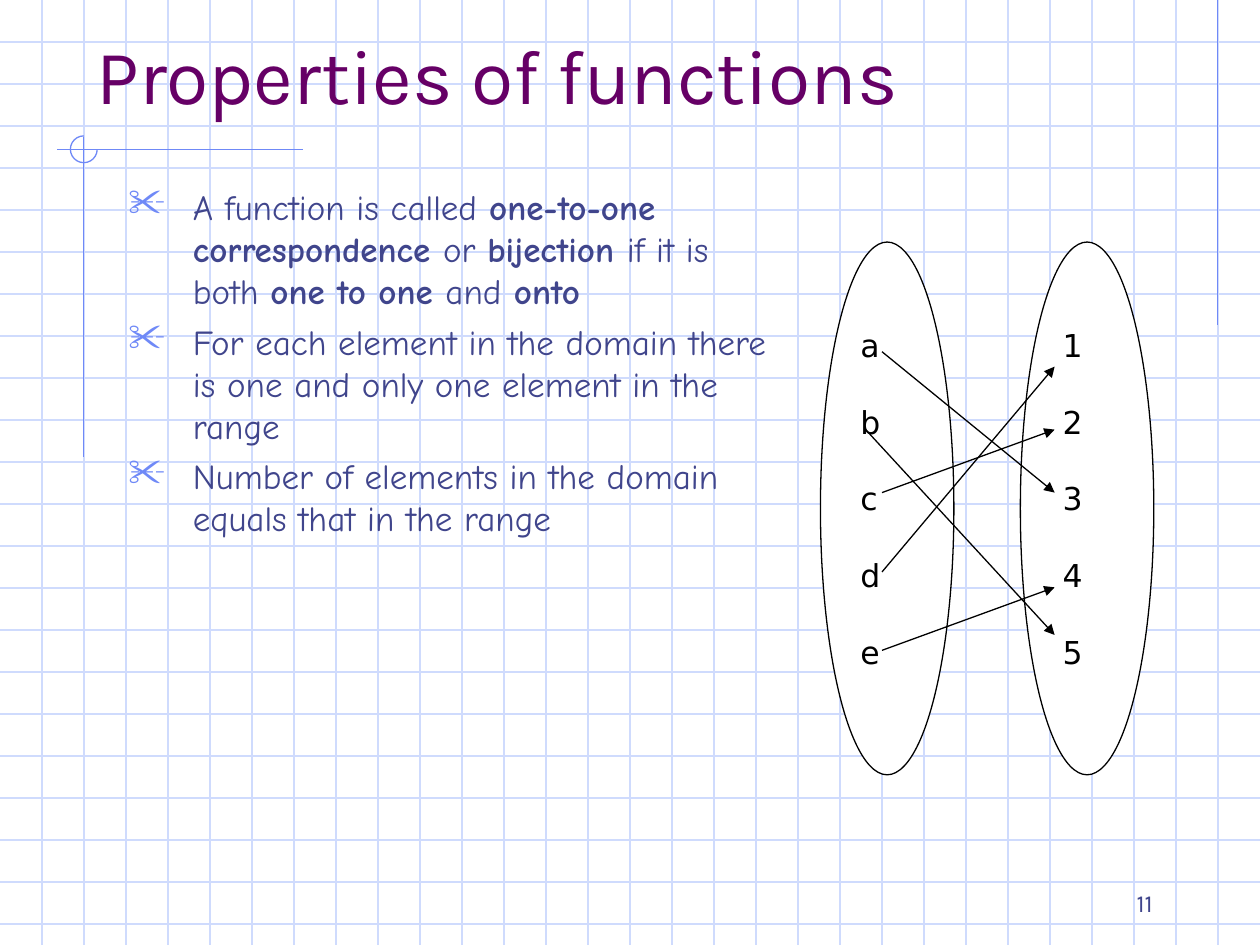
from dataclasses import dataclass
from typing import NamedTuple

from lxml import etree
from pptx import Presentation, util as u
from pptx.dml.color import RGBColor
from pptx.enum import shapes, text
from pptx.oxml import ns

WIDTH, HEIGHT = 25.4, 19.05
GRID_PITCH = WIDTH / 30


@dataclass(frozen=True)
class Theme:
    grid: str = "CFDBFD"
    accent: str = "6F89F7"
    title: str = "660066"
    body: str = "40458C"
    ink: str = "000000"
    paper: str = "FFFFFF"
    heading_font: str = "Karla"
    body_font: str = "Comic Neue"
    label_font: str = "DejaVu Sans"
    title_size: float = 44
    body_size: float = 20
    label_size: float = 18
    number_size: float = 14
    line_width: float = 0.75


THEME = Theme()


class Frame(NamedTuple):
    left: float
    top: float
    width: float
    height: float

    def lengths(self) -> list:
        return [u.Cm(value) for value in self]


class Line(NamedTuple):
    x1: float
    y1: float
    x2: float
    y2: float


class Words(NamedTuple):
    content: str
    bold: bool = False


@dataclass(frozen=True)
class ElementSet:
    frame: Frame
    labels: str
    inset: float


TITLE_FRAME = Frame(1.69, 0.85, 22.86, 1.69)
BODY_FRAME = Frame(2.34, 3.61, 13.69, 13.77)
NUMBER_FRAME = Frame(18.21, 17.98, 5.28, 0.64)
ARC_FRAME = Frame(1.42, 2.74, 0.54, 0.54)

ORNAMENTS = [
    Line(24.55, 0, 24.55, 6.55),
    Line(6.1, 3.02, 1.14, 3.02),
    Line(1.69, 2.77, 1.69, 9.22),
]

BULLETS = [
    [
        Words("A function is called "),
        Words("one-to-one correspondence ", True),
        Words("or "),
        Words("bijection ", True),
        Words("if it is both "),
        Words("one to one ", True),
        Words("and"),
        Words(" onto", True),
    ],
    [Words("For each element in the domain there is one and only one element in the range")],
    [Words("Number of elements in the domain equals that in the range")],
]

DOMAIN = ElementSet(Frame(16.54, 4.88, 2.69, 10.74), "abcde", 0.41)
RANGE = ElementSet(Frame(20.57, 4.88, 2.69, 10.74), "12345", 0.46)
LABEL_GAP = 22.2

MAPPINGS = [
    Line(17.78, 7.09, 21.26, 9.93),
    Line(17.78, 9.93, 21.26, 8.66),
    Line(17.78, 11.53, 21.26, 7.39),
    Line(17.45, 8.66, 21.26, 12.8),
    Line(17.78, 13.11, 21.26, 11.84),
]


def add_span(para, content: str, font: str, size: float, color: str, bold: bool = False) -> None:
    span = para.add_run()
    span.text = content
    span.font.name = font
    span.font.size = u.Pt(size)
    span.font.bold = bold
    span.font.color.rgb = RGBColor.from_string(color)


def paragraph_at(frame, index: int):
    return frame.add_paragraph() if index else frame.paragraphs[0]


def style_line(line, color: str) -> None:
    line.color.rgb = RGBColor.from_string(color)
    line.width = u.Pt(THEME.line_width)


def draw_line(slide, line: Line, color: str, arrow: bool = False) -> None:
    ends = [u.Cm(value) for value in line]
    connector = slide.shapes.add_connector(shapes.MSO_CONNECTOR.STRAIGHT, *ends)
    style_line(connector.line, color)
    properties = connector.element.spPr
    if arrow:
        outline = properties.find(ns.qn("a:ln"))
        etree.SubElement(outline, ns.qn("a:tailEnd"), type="triangle")
    etree.SubElement(properties, ns.qn("a:effectLst"))


def draw_grid(slide) -> None:
    for row in range(1, 23):
        draw_line(slide, Line(0, row * GRID_PITCH, WIDTH, row * GRID_PITCH), THEME.grid)
    for column in range(1, 30):
        draw_line(slide, Line(column * GRID_PITCH, 0, column * GRID_PITCH, HEIGHT), THEME.grid)


def draw_ornaments(slide) -> None:
    for line in ORNAMENTS:
        draw_line(slide, line, THEME.accent)
    arc = slide.shapes.add_shape(shapes.MSO_SHAPE.ARC, *ARC_FRAME.lengths())
    arc.shadow.inherit = False
    arc.adjustments[0], arc.adjustments[1] = 0, 162  # from 0 to 270 degrees
    arc.fill.background()
    style_line(arc.line, THEME.accent)


def place_title(slide) -> None:
    """Format the title and bring it in front of the grid."""
    title = slide.shapes.title
    title.left, title.top, title.width, title.height = TITLE_FRAME.lengths()
    frame = title.text_frame
    frame.auto_size = text.MSO_AUTO_SIZE.NONE
    frame.vertical_anchor = text.MSO_ANCHOR.BOTTOM
    para = frame.paragraphs[0]
    para.alignment = text.PP_ALIGN.LEFT
    add_span(para, "Properties of functions", THEME.heading_font, THEME.title_size, THEME.title)
    title.element.getparent().append(title.element)


def add_scissors_bullet(para) -> None:
    properties = para._p.get_or_add_pPr()
    properties.set("marL", str(u.Cm(1.3)))
    properties.set("indent", str(u.Cm(-1.3)))
    color = etree.SubElement(properties, ns.qn("a:buClr"))
    etree.SubElement(color, ns.qn("a:srgbClr"), val=THEME.accent)
    etree.SubElement(properties, ns.qn("a:buSzPct"), val="110000")
    etree.SubElement(properties, ns.qn("a:buChar"), char="✂")


def draw_body(slide) -> None:
    box = slide.shapes.add_textbox(*BODY_FRAME.lengths())
    box.text_frame.word_wrap = True
    for index, bullet in enumerate(BULLETS):
        para = paragraph_at(box.text_frame, index)
        add_scissors_bullet(para)
        para.space_before = u.Pt(5 if index else 0)
        for words in bullet:
            add_span(para, words.content, THEME.body_font, THEME.body_size, THEME.body, words.bold)


def draw_number(slide) -> None:
    box = slide.shapes.add_textbox(*NUMBER_FRAME.lengths())
    box.text_frame.word_wrap = True
    box.text_frame.vertical_anchor = text.MSO_ANCHOR.BOTTOM
    para = box.text_frame.paragraphs[0]
    para.alignment = text.PP_ALIGN.RIGHT
    add_span(para, "11", THEME.heading_font, THEME.number_size, THEME.body)


def draw_set(slide, members: ElementSet) -> None:
    oval = slide.shapes.add_shape(shapes.MSO_SHAPE.OVAL, *members.frame.lengths())
    oval.shadow.inherit = False
    oval.fill.solid()
    oval.fill.fore_color.rgb = RGBColor.from_string(THEME.paper)
    style_line(oval.line, THEME.ink)
    frame = oval.text_frame
    frame.word_wrap = True
    frame.vertical_anchor = text.MSO_ANCHOR.TOP
    frame.margin_left = u.Cm(members.inset)
    for index, label in enumerate(members.labels):
        para = paragraph_at(frame, index)
        para.alignment = text.PP_ALIGN.LEFT
        para.space_before = u.Pt(LABEL_GAP if index else 0)
        add_span(para, label, THEME.label_font, THEME.label_size, THEME.ink)


def main() -> None:
    deck = Presentation()
    deck.slide_width, deck.slide_height = u.Cm(WIDTH), u.Cm(HEIGHT)
    slide = deck.slides.add_slide(deck.slide_layouts[5])
    draw_grid(slide)
    draw_ornaments(slide)
    draw_number(slide)
    place_title(slide)
    draw_body(slide)
    for members in (DOMAIN, RANGE):
        draw_set(slide, members)
    for mapping in MAPPINGS:
        draw_line(slide, mapping, THEME.ink, arrow=True)
    deck.save("out.pptx")


if __name__ == "__main__":
    main()
